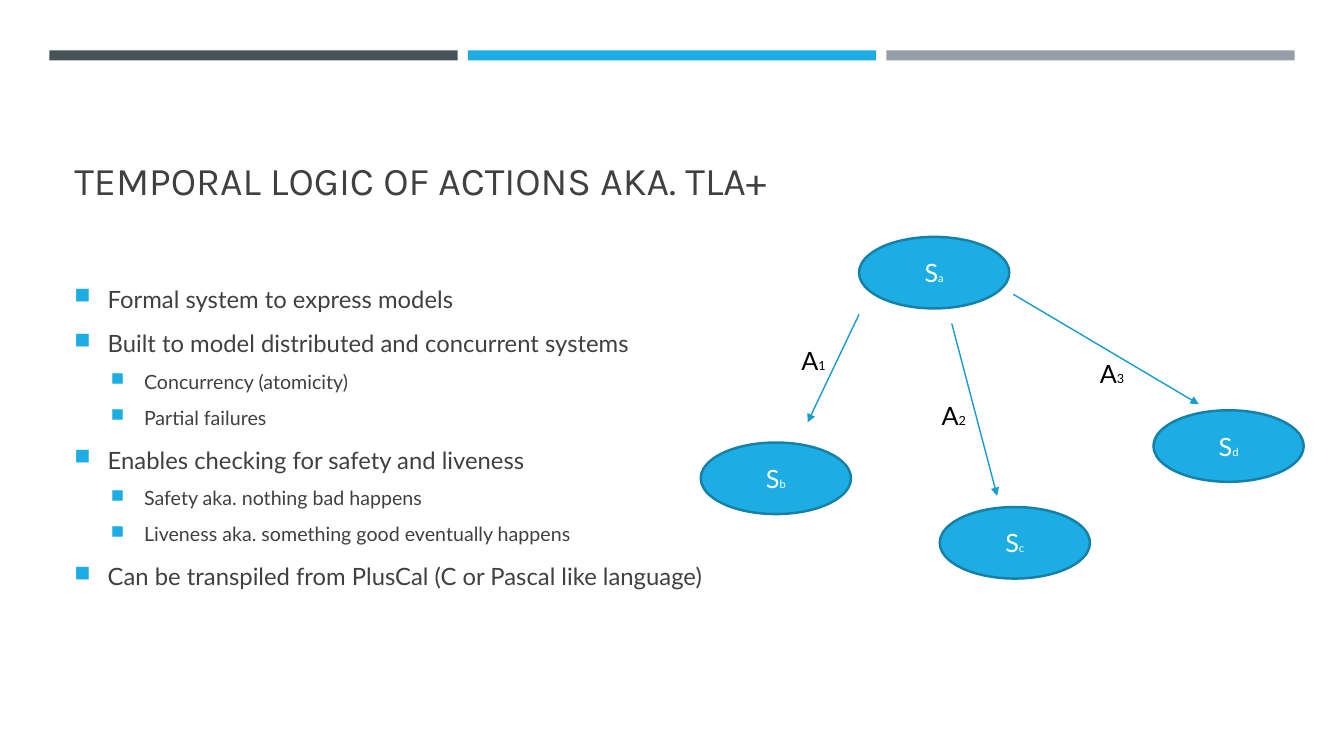
import lxml.etree
import pptx
import pptx.dml.color
import pptx.enum.shapes
import pptx.enum.text
import pptx.oxml.ns
import pptx.util
from pptx.util import Inches

ACCENT = "1CADE4"
DARK = "404040"
SHAPES = pptx.enum.shapes.MSO_SHAPE
ANCHOR = pptx.enum.text.MSO_ANCHOR
ALIGN = pptx.enum.text.PP_ALIGN


def color(value):
    return pptx.dml.color.RGBColor.from_string(value)


def add_element(parent, tag, **attributes):
    return lxml.etree.SubElement(parent, pptx.oxml.ns.qn(tag), **attributes)


class SlideBuilder:
    """Holds the style and the current slide."""

    def __init__(self, slide, font, heading_font):
        self.slide = slide
        self.font = font
        self.heading_font = heading_font

    def add_spans(self, para, parts, text_color, font=None):
        """Fill a paragraph with (text, size) parts."""
        for text, size in parts:
            span = para.add_run()
            span.text = text
            span.font.name = font or self.font
            span.font.size = pptx.util.Pt(size)
            span.font.color.rgb = color(text_color)

    def shape(self, kind, left, top, width, height, fill, line=None):
        shape = self.slide.shapes.add_shape(
            kind, Inches(left), Inches(top), Inches(width), Inches(height))
        shape.shadow.inherit = False
        shape.fill.solid()
        shape.fill.fore_color.rgb = color(fill)
        if line:
            shape.line.color.rgb = color(line)
            shape.line.width = pptx.util.Pt(1.75)
        else:
            shape.line.fill.background()
        return shape

    def text_box(self, left, top, width, height, anchor=ANCHOR.TOP):
        box = self.slide.shapes.add_textbox(
            Inches(left), Inches(top), Inches(width), Inches(height))
        box.text_frame.word_wrap = True
        box.text_frame.vertical_anchor = anchor
        return box.text_frame

    def title(self, text):
        frame = self.text_box(0.64, 0.77, 12.06, 1.3, ANCHOR.BOTTOM)
        self.add_spans(frame.paragraphs[0], [(text, 28)], DARK, self.heading_font)

    def bullets(self, items):
        frame = self.text_box(0.64, 2.56, 12.06, 3.53, ANCHOR.MIDDLE)
        for number, (level, text) in enumerate(items):
            para = frame.add_paragraph() if number else frame.paragraphs[0]
            size = 14 if level else 17
            para.level = level
            para.line_spacing = 1.0 if level else 1.1
            para.space_before = pptx.util.Pt(0.2 * size)
            para.space_after = pptx.util.Pt(6)
            properties = para._p.get_or_add_pPr()
            properties.set("marL", str(Inches(0.69 if level else 0.33)))
            properties.set("indent", str(Inches(-0.33)))
            bullet_color = add_element(properties, "a:buClr")
            add_element(bullet_color, "a:srgbClr", val=ACCENT)
            add_element(properties, "a:buSzPct", val="92000")
            add_element(properties, "a:buChar", char="■")
            self.add_spans(para, [(text, size)], DARK)

    def state(self, subscript, left, top):
        oval = self.shape(SHAPES.OVAL, left, top, 1.49, 0.71, ACCENT, "1580A9")
        oval.text_frame.vertical_anchor = ANCHOR.MIDDLE
        para = oval.text_frame.paragraphs[0]
        para.alignment = ALIGN.CENTER
        self.add_spans(para, [("S", 18), (subscript, 8)], "FFFFFF")

    def arrow(self, start, end):
        arrow = self.slide.shapes.add_connector(
            pptx.enum.shapes.MSO_CONNECTOR.STRAIGHT,
            *(Inches(value) for value in start + end))
        arrow.line.color.rgb = color("189CCE")
        arrow.line.width = pptx.util.Pt(1)
        line = arrow._element.spPr.find(pptx.oxml.ns.qn("a:ln"))
        add_element(line, "a:tailEnd", type="triangle")
        add_element(arrow._element.spPr, "a:effectLst")

    def action_label(self, subscript, left, top):
        frame = self.text_box(left, top, 0.6, 0.4)
        self.add_spans(frame.paragraphs[0], [("A", 18), (subscript, 9)], "000000")


deck = pptx.Presentation()
deck.slide_width = Inches(13.33)
deck.slide_height = Inches(7.5)
page = SlideBuilder(deck.slides.add_slide(deck.slide_layouts[6]), "Lato", "Karla")

# Bars across the top
for column, fill in enumerate(["465359", ACCENT, "969FA7"]):
    page.shape(SHAPES.RECTANGLE, 0.49 + 4.15 * column, 0.5, 4.05, 0.1, fill)

# Title and bullet list
page.title("TEMPORAL LOGIC OF ACTIONS AKA. TLA+")
page.bullets([
    (0, "Formal system to express models"),
    (0, "Built to model distributed and concurrent systems"),
    (1, "Concurrency (atomicity)"),
    (1, "Partial failures"),
    (0, "Enables checking for safety and liveness"),
    (1, "Safety aka. nothing bad happens"),
    (1, "Liveness aka. something good eventually happens"),
    (0, "Can be transpiled from PlusCal (C or Pascal like language)"),
])

# States
for subscript, left, top in [("a", 8.52, 2.35), ("b", 6.95, 4.39),
                             ("c", 9.32, 5.03), ("d", 11.44, 4.07)]:
    page.state(subscript, left, top)

# Actions leading from the first state to the others
actions = [
    ("1", (8.52, 3.12), (8.01, 4.19), (7.85, 3.38)),
    ("2", (9.44, 3.21), (9.89, 4.92), (9.24, 3.92)),
    ("3", (10.05, 2.92), (11.89, 4.01), (10.81, 3.51)),
]
for subscript, start, end, label_corner in actions:
    page.arrow(start, end)
    page.action_label(subscript, *label_corner)

deck.save("out.pptx")
